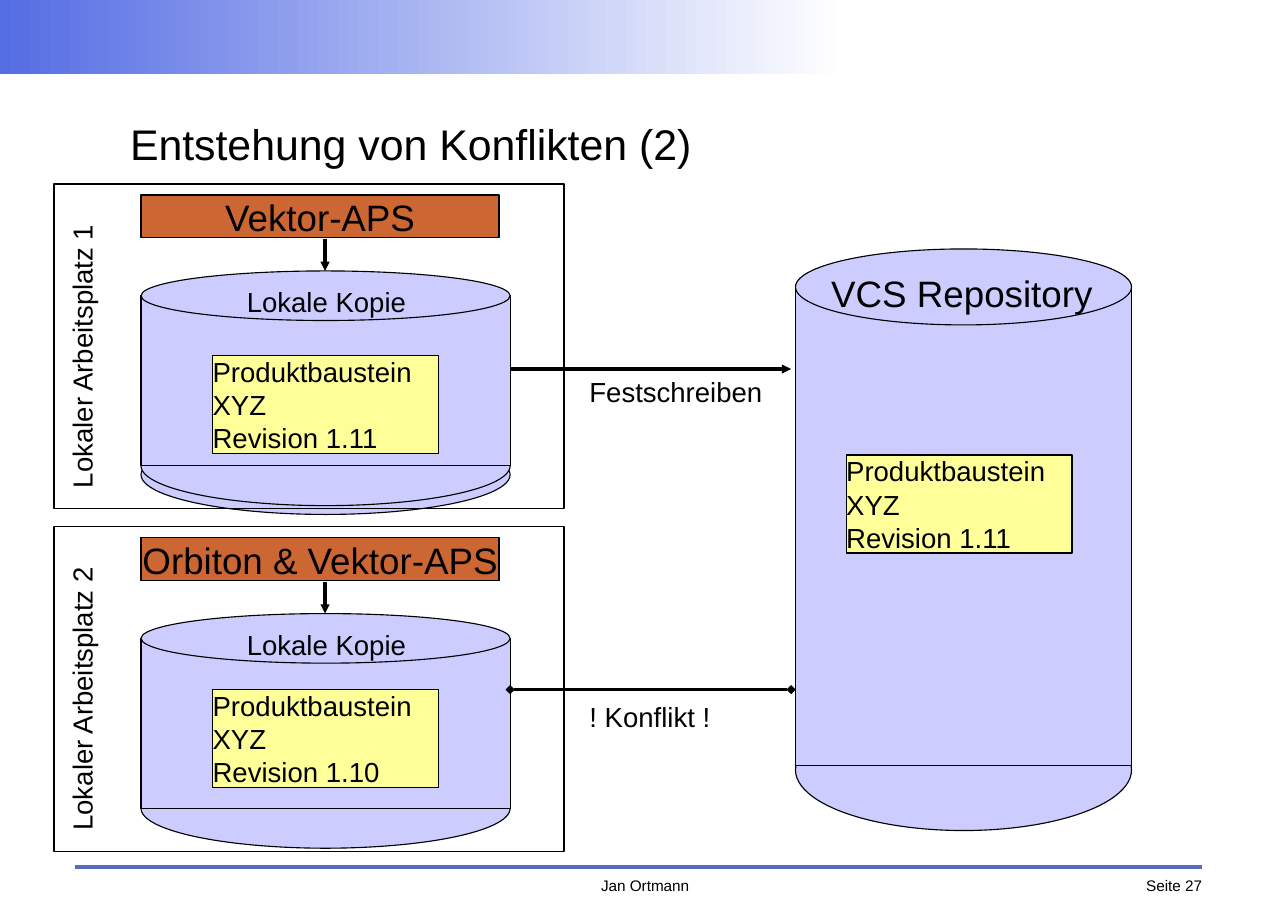
"""Builds the slide on how conflicts arise between two workplaces and a repository."""
import dataclasses
import typing

import lxml.etree
import pptx
import pptx.dml.color
import pptx.enum.shapes
import pptx.enum.text
import pptx.oxml.ns
import pptx.util

Inches = pptx.util.Inches
Pt = pptx.util.Pt
Kind = pptx.enum.shapes.MSO_SHAPE
Align = pptx.enum.text.PP_ALIGN
Anchor = pptx.enum.text.MSO_ANCHOR
qn = pptx.oxml.ns.qn


@dataclasses.dataclass(frozen=True)
class Theme:
    font: str = "Arial"
    ink: str = "000000"
    paper: str = "FFFFFF"
    band: str = "556DE4"
    rule: str = "576BBF"
    drum: str = "CCCCFF"
    note: str = "FFFF99"
    tool: str = "CC6633"
    title: int = 28
    head: int = 24
    body: int = 18
    foot: int = 10


class Box(typing.NamedTuple):
    left: float
    top: float
    width: float
    height: float


class Drum(typing.NamedTuple):
    lid: Box
    base: Box
    floor: float


class Place(typing.NamedTuple):
    top: float
    label: str
    tool: str
    note: float
    text: str


class Arrow(typing.NamedTuple):
    start: tuple[float, float]
    end: tuple[float, float]
    head: str = "none"
    tail: str = "none"
    color: str = Theme.ink
    width: float = 0


theme = Theme()
deck = pptx.Presentation()
deck.slide_width, deck.slide_height = Inches(11.69), Inches(8.27)
slide = deck.slides.add_slide(deck.slide_layouts[6])


def tint(name: str) -> pptx.dml.color.RGBColor:
    return pptx.dml.color.RGBColor.from_string(name)


def apply(item: typing.Any, values: dict[str, typing.Any]) -> None:
    for key, value in values.items():
        setattr(item, key, value)


def write(shape: typing.Any, text: str, size: int, align: Align = Align.LEFT,
          anchor: Anchor = Anchor.TOP, wrap: bool = True) -> None:
    frame = shape.text_frame
    frame.text = text
    apply(frame, {"margin_left": 0, "margin_right": 0, "margin_top": 0, "margin_bottom": 0,
                  "word_wrap": wrap, "vertical_anchor": anchor})
    for para in frame.paragraphs:
        para.alignment = align
        apply(para.font, {"name": theme.font, "size": Pt(size)})
        para.font.color.rgb = tint(theme.ink)


def label(box: Box, text: str, size: int = theme.body, turn: float = 0,
          **style: typing.Any) -> None:
    shape = slide.shapes.add_textbox(*map(Inches, box))
    shape.rotation = turn
    write(shape, text, size, **style)


def block(box: Box, fill: str | None = None, kind: Kind = Kind.RECTANGLE) -> typing.Any:
    shape = slide.shapes.add_shape(kind, *map(Inches, box))
    shape.shadow.inherit = False
    if fill:
        shape.fill.solid()
        shape.fill.fore_color.rgb = tint(fill)
    else:
        shape.fill.background()
    shape.line.color.rgb = tint(theme.ink)
    shape.line.width = Pt(0)
    return shape


def link(arrow: Arrow) -> None:
    line = slide.shapes.add_connector(pptx.enum.shapes.MSO_CONNECTOR.STRAIGHT,
                                      *map(Inches, arrow.start + arrow.end))
    line.line.color.rgb = tint(arrow.color)
    line.line.width = Pt(arrow.width)
    props = line._element.spPr
    for tag, tip in (("a:headEnd", arrow.head), ("a:tailEnd", arrow.tail)):
        lxml.etree.SubElement(props.find(qn("a:ln")), qn(tag), type=tip)
    lxml.etree.SubElement(props, qn("a:effectLst"))


def barrel(drum: Drum) -> None:
    lid = drum.lid
    rim = lid.top + lid.height / 2
    block(drum.base, theme.drum, Kind.OVAL)
    block(Box(lid.left, rim, lid.width, drum.floor - rim), theme.drum)
    block(lid, theme.drum, Kind.OVAL)


def note(left: float, top: float, text: str) -> None:
    shape = block(Box(left, top, 2.05, 0.89), theme.note)
    write(shape, f"Produktbaustein\nXYZ\nRevision {text}", theme.body,
          anchor=Anchor.MIDDLE, wrap=False)


def desk(place: Place) -> None:
    top = place.top
    barrel(Drum(Box(1.28, top + 0.79, 3.35, 0.45), Box(1.28, top + 2.2, 3.35, 0.72), top + 2.56))
    tool = block(Box(1.28, top + 0.1, 3.25, 0.39), theme.tool)
    write(tool, place.tool, theme.head, Align.CENTER)
    block(Box(0.49, top, 4.63, 2.95))
    link(Arrow((2.95, top + 0.5), (2.95, top + 0.79), tail="triangle"))
    label(Box(2.24, top + 0.92, 1.53, 0.28), "Lokale Kopie")
    label(Box(-0.46, top + 1.41, 2.4, 0.3), place.label, turn=270, wrap=False)
    note(1.93, place.note, place.text)


band = block(Box(0, 0, 7.67, 0.67))
band.line.fill.background()
band.fill.gradient()
band.fill.gradient_angle = 0
for stop, color in zip(band.fill.gradient_stops, (theme.band, theme.paper)):
    stop.color.rgb = tint(color)

link(Arrow((0.68, 7.87), (10.91, 7.87), color=theme.rule, width=2.83))
label(Box(9.87, 7.95, 1.04, 0.19), "Seite 27", theme.foot, align=Align.RIGHT)
label(Box(5.05, 7.95, 1.61, 0.2), "Jan Ortmann", theme.foot, align=Align.CENTER)
label(Box(1.18, 0.79, 9.31, 1.02), "Entstehung von Konflikten (2)", theme.title,
      anchor=Anchor.MIDDLE)

block(Box(1.28, 3.95, 3.35, 0.72), theme.drum, Kind.OVAL)
for place in (Place(1.67, "Lokaler Arbeitsplatz 1", "Vektor-APS", 3.23, "1.11"),
              Place(4.78, "Lokaler Arbeitsplatz 2", "Orbiton & Vektor-APS", 6.26, "1.10")):
    desk(place)

barrel(Drum(Box(7.22, 2.26, 3.05, 0.69), Box(7.22, 6.44, 3.05, 1.1), 6.95))
label(Box(7.5, 2.46, 2.46, 0.37), "VCS Repository", theme.head, align=Align.CENTER)
note(7.68, 4.13, "1.11")

link(Arrow((4.63, 3.35), (7.18, 3.35), tail="triangle"))
link(Arrow((4.63, 6.26), (7.18, 6.26), "diamond", "diamond"))
for top, text in ((3.4, "Festschreiben"), (6.35, "! Konflikt !")):
    label(Box(5.35, top, 1.88, 0.28), text)

deck.save("out.pptx")
